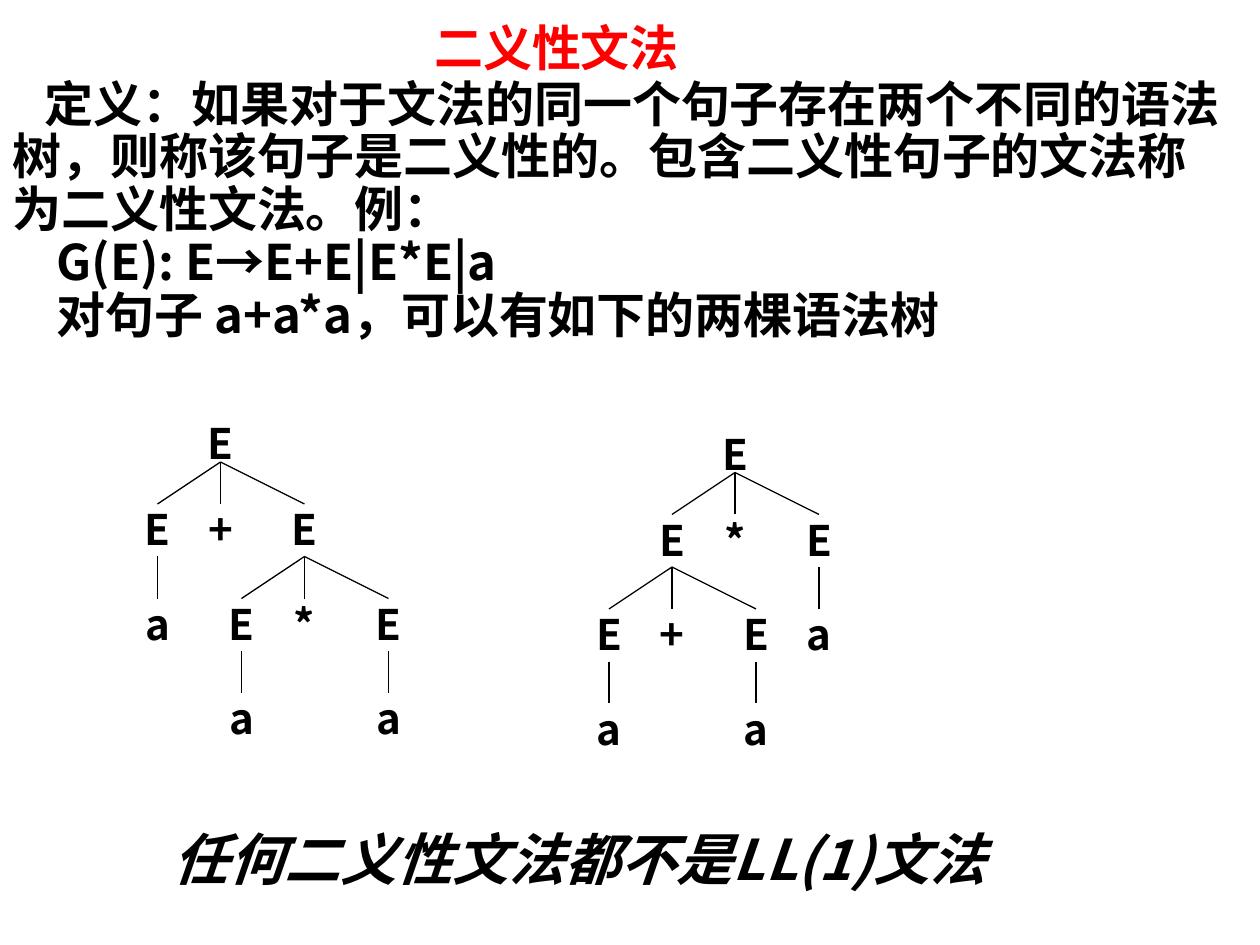
from lxml import etree
from pptx import Presentation
from pptx import util as u
from pptx.dml.color import RGBColor
from pptx.enum import lang, shapes, text
from pptx.oxml import ns

PX = 7620  # EMU, 120 px to the inch
CJK_FONT = "Noto Sans CJK SC"
BLACK, RED = "000000", "FF0000"
LABEL_WIDTH, LABEL_HEIGHT = 24, 48
EDGE_HEIGHT = 40

presentation = Presentation()
presentation.slide_width = 1200 * PX
presentation.slide_height = 900 * PX
slide = presentation.slides.add_slide(presentation.slide_layouts[6])


def add_text(content, left, top, width, height, size, color=BLACK,
             font_name=CJK_FONT, margins=True):
    """Add a bold text box; without margins it fits its single line."""
    box = slide.shapes.add_textbox(left * PX, top * PX, width * PX, height * PX)
    frame = box.text_frame
    frame.word_wrap = margins
    if not margins:
        frame.margin_left = frame.margin_right = 0
        frame.margin_top = frame.margin_bottom = 0
        frame.auto_size = text.MSO_AUTO_SIZE.SHAPE_TO_FIT_TEXT
    frame.text = content
    for paragraph in frame.paragraphs:
        for run in paragraph.runs:
            font = run.font
            font.name = font_name
            font.size = u.Pt(size)
            font.bold = True
            font.color.rgb = RGBColor.from_string(color)
            font.language_id = lang.MSO_LANGUAGE_ID.SIMPLIFIED_CHINESE
            latin = run._r.rPr.find(ns.qn("a:latin"))
            east_asian = etree.Element(ns.qn("a:ea"), typeface=CJK_FONT)
            latin.addnext(east_asian)
    return frame


def add_branch(x, y, child_x, label):
    """Draw an edge down from (x, y) with the child's label below it."""
    bottom = y + EDGE_HEIGHT
    edge = slide.shapes.add_connector(
        shapes.MSO_CONNECTOR.STRAIGHT, x * PX, y * PX, child_x * PX, bottom * PX)
    edge.line.color.rgb = RGBColor.from_string(BLACK)
    edge.line.width = u.Pt(0.75)
    etree.SubElement(edge._element.spPr, ns.qn("a:effectLst"))
    frame = add_text(label, child_x - LABEL_WIDTH // 2, bottom,
                     LABEL_WIDTH, LABEL_HEIGHT, 24, margins=False)
    frame.paragraphs[0].alignment = text.PP_ALIGN.CENTER


title = add_text("二义性文法", 30, 20, 1000, 50, 28, RED, "Times New Roman")
title.vertical_anchor = text.MSO_ANCHOR.MIDDLE
title.paragraphs[0].alignment = text.PP_ALIGN.CENTER

definition = add_text(
    "定义：如果对于文法的同一个句子存在两个不同的语法树，则称该句子是二义性的。"
    "包含二义性句子的文法称为二义性文法。例：\n"
    "G(E): E→E+E|E*E|a\n"
    "对句子 a+a*a，可以有如下的两棵语法树",
    0, 70, 1180, 290, 28)
for paragraph, indent in zip(definition.paragraphs, (31, 42, 42)):
    paragraph.line_spacing = 0.9
    properties = paragraph._p.get_or_add_pPr()
    properties.set("marL", "0")
    properties.set("indent", str(indent * PX))

# Each tree: root position, then (x, y, operator) forks and (x, y) stems from the root
trees = [
    (210, 440, [(0, 0, "+"), (80, 90, "*")], [(-60, 90), (20, 180), (160, 180)]),
    (700, 450, [(0, 0, "*"), (-60, 90, "+")], [(80, 90), (-120, 180), (20, 180)]),
]
for root_x, root_y, forks, stems in trees:
    root = add_text("E", root_x - LABEL_WIDTH // 2, root_y - 42,
                    LABEL_WIDTH, LABEL_HEIGHT, 24, margins=False)
    root.paragraphs[0].alignment = text.PP_ALIGN.CENTER
    for dx, dy, operator in forks:
        x, y = root_x + dx, root_y + dy
        for offset, label in ((-60, "E"), (0, operator), (80, "E")):
            add_branch(x, y, x + offset, label)
    for dx, dy in stems:
        add_branch(root_x + dx, root_y + dy, root_x + dx, "a")

conclusion = add_text("任何二义性文法都不是LL(1)文法", 164, 785, 827, 64, 32, margins=False)
conclusion.paragraphs[0].runs[0].font.italic = True

presentation.save("out.pptx")
